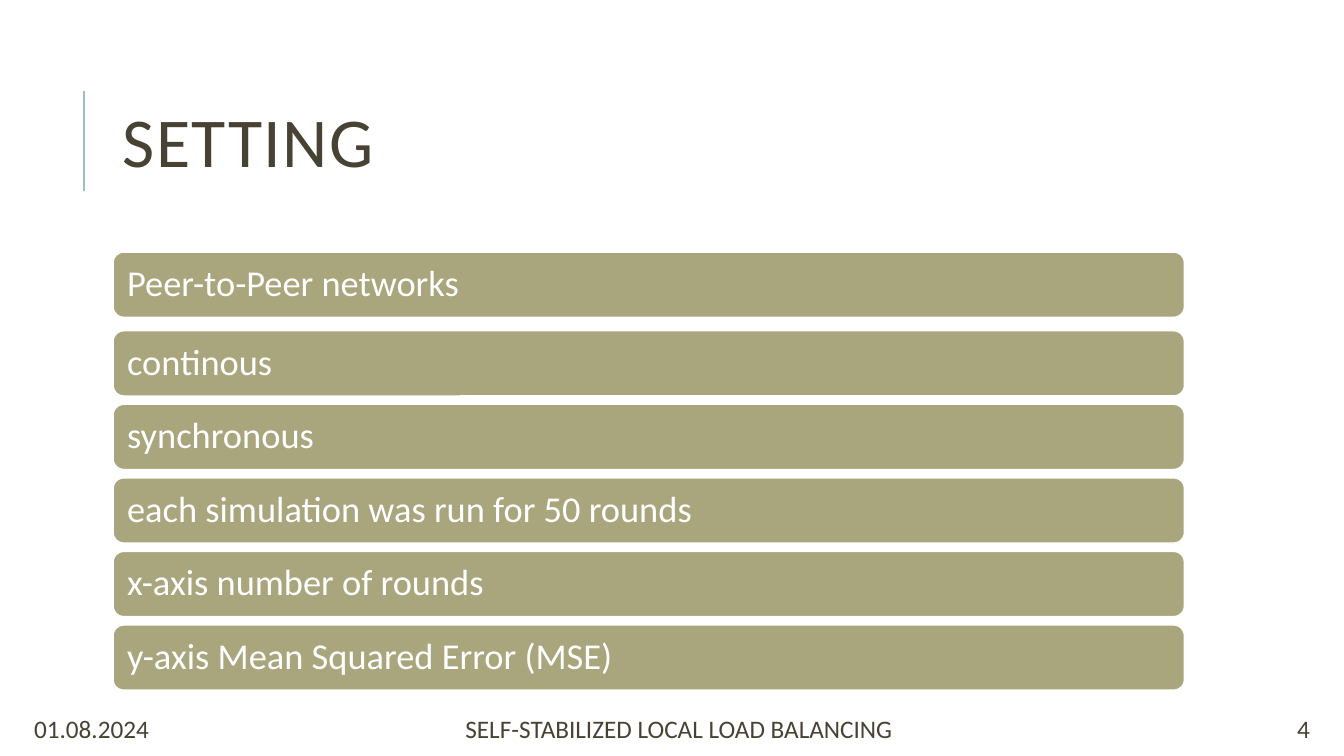
from dataclasses import dataclass

from pptx import Presentation
from pptx import util as u
from pptx.dml.color import RGBColor
from pptx.enum import shapes, text
from pptx.oxml.ns import qn
from lxml import etree

SLIDE_WIDTH, SLIDE_HEIGHT = u.Inches(13.33), u.Inches(7.5)
COLORS = {"ink": "474233", "bar": "A9A57C", "white": "FFFFFF", "rule": "9CBEBD"}
FONT = "Calibri"
LEFT, CENTER, RIGHT = text.PP_ALIGN.LEFT, text.PP_ALIGN.CENTER, text.PP_ALIGN.RIGHT

CONTENT_LEFT, CONTENT_WIDTH = 8.4, 79.74
FIRST_BAR_TOP, SECOND_BAR_TOP = 33.33, 43.73
BAR_PITCH, BAR_HEIGHT = 9.73, 8.67
FOOTER_TOP, FOOTER_HEIGHT = 94.4, 4


def across(percent: float) -> int:
    return round(SLIDE_WIDTH * percent / 100)


def down(percent: float) -> int:
    return round(SLIDE_HEIGHT * percent / 100)


@dataclass(frozen=True)
class Label:
    words: str
    left: float
    top: float
    width: float
    height: float
    size: float
    color: str = "ink"
    align: text.PP_ALIGN = LEFT
    line_spacing: float = 1.0
    tracking: int = 0
    inset: float = 0.1

    def frame(self) -> tuple[int, int, int, int]:
        return across(self.left), down(self.top), across(self.width), down(self.height)


def write(shape, label: Label) -> None:
    frame = shape.text_frame
    frame.word_wrap = True
    frame.vertical_anchor = text.MSO_ANCHOR.MIDDLE
    frame.margin_left = frame.margin_right = u.Inches(label.inset)
    frame.margin_top = frame.margin_bottom = u.Inches(0.05)
    paragraph = frame.paragraphs[0]
    paragraph.alignment = label.align
    paragraph.line_spacing = label.line_spacing
    run = paragraph.add_run()
    run.text = label.words
    run.font.name = FONT
    run.font.size = u.Pt(label.size)
    run.font.color.rgb = RGBColor.from_string(COLORS[label.color])
    if label.tracking:
        run._r.get_or_add_rPr().set("spc", str(label.tracking))


def draw_text(slide, label: Label) -> None:
    write(slide.shapes.add_textbox(*label.frame()), label)


def draw_bar(slide, label: Label) -> None:
    bar = slide.shapes.add_shape(shapes.MSO_SHAPE.ROUNDED_RECTANGLE, *label.frame())
    bar.shadow.inherit = False
    bar.fill.solid()
    bar.fill.fore_color.rgb = RGBColor.from_string(COLORS["bar"])
    bar.line.color.rgb = RGBColor.from_string(COLORS["white"])
    bar.line.width = u.Pt(1.25)
    write(bar, label)


def draw_title_rule(slide) -> None:
    rule = slide.shapes.add_connector(
        shapes.MSO_CONNECTOR.STRAIGHT,
        across(6.23), down(25.33), across(6.23), down(12),
    )
    rule.line.color.rgb = RGBColor.from_string(COLORS["rule"])
    rule.line.width = u.Pt(1.5)
    etree.SubElement(rule._element.spPr, qn("a:effectLst"))


def footer(words: str, left: float, width: float, align: text.PP_ALIGN) -> Label:
    return Label(words, left, FOOTER_TOP, width, FOOTER_HEIGHT, 18, align=align)


TITLE = Label("SETTING", CONTENT_LEFT, 8.53, CONTENT_WIDTH, 21.87, 50,
              line_spacing=0.8, tracking=100)
SETTINGS = [
    "Peer-to-Peer networks",
    "continous",
    "synchronous",
    "each simulation was run for 50 rounds",
    "x-axis number of rounds",
    "y-axis Mean Squared Error (MSE)",
]
FOOTERS = [
    footer("01.08.2024", 1.8, 10.58, LEFT),
    footer("SELF-STABILIZED LOCAL LOAD BALANCING", 12.45, 76.14, CENTER),
    footer("4", 88.6, 9.6, RIGHT),
]


def main() -> None:
    deck = Presentation()
    deck.slide_width, deck.slide_height = SLIDE_WIDTH, SLIDE_HEIGHT
    slide = deck.slides.add_slide(deck.slide_layouts[6])
    draw_title_rule(slide)
    draw_text(slide, TITLE)
    for index, setting in enumerate(SETTINGS):
        top = SECOND_BAR_TOP + (index - 1) * BAR_PITCH if index else FIRST_BAR_TOP
        draw_bar(slide, Label(setting, CONTENT_LEFT, top, CONTENT_WIDTH, BAR_HEIGHT, 26,
                              color="white", line_spacing=0.9, inset=0.11))
    for label in FOOTERS:
        draw_text(slide, label)
    deck.save("out.pptx")


if __name__ == "__main__":
    main()
